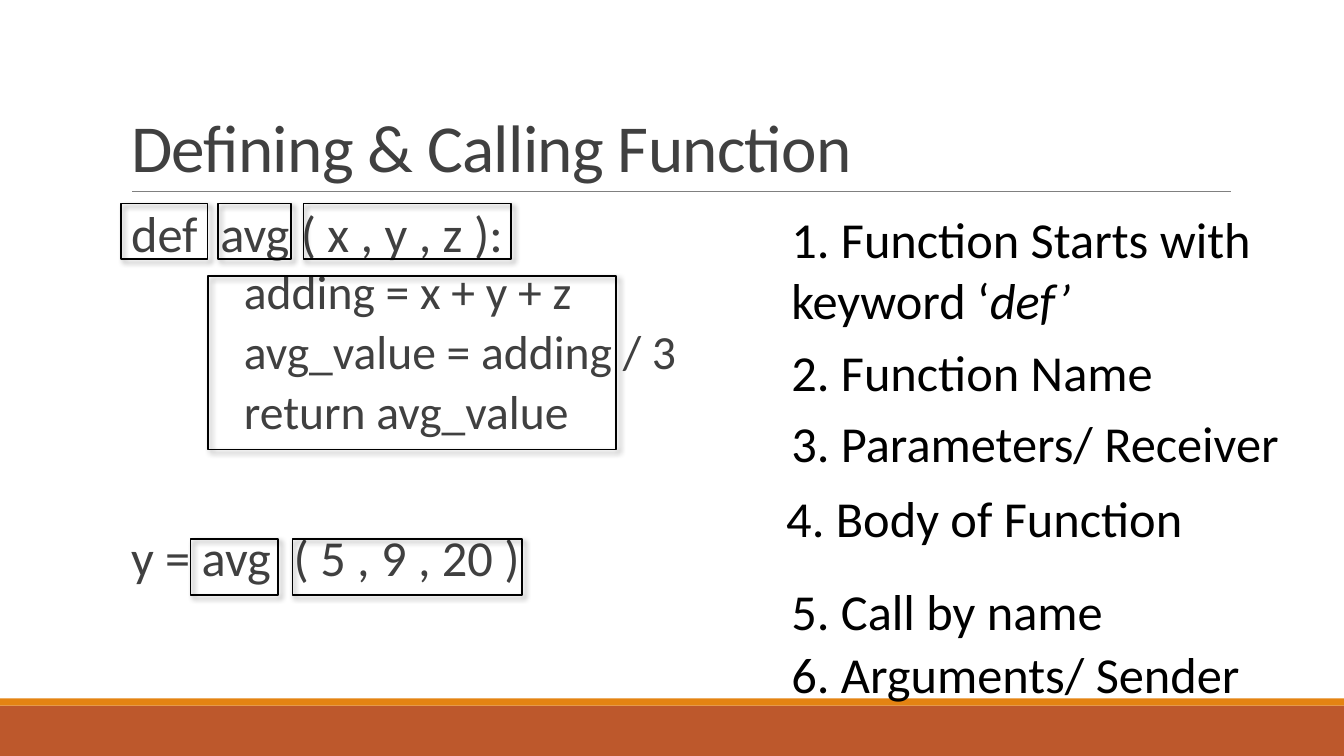
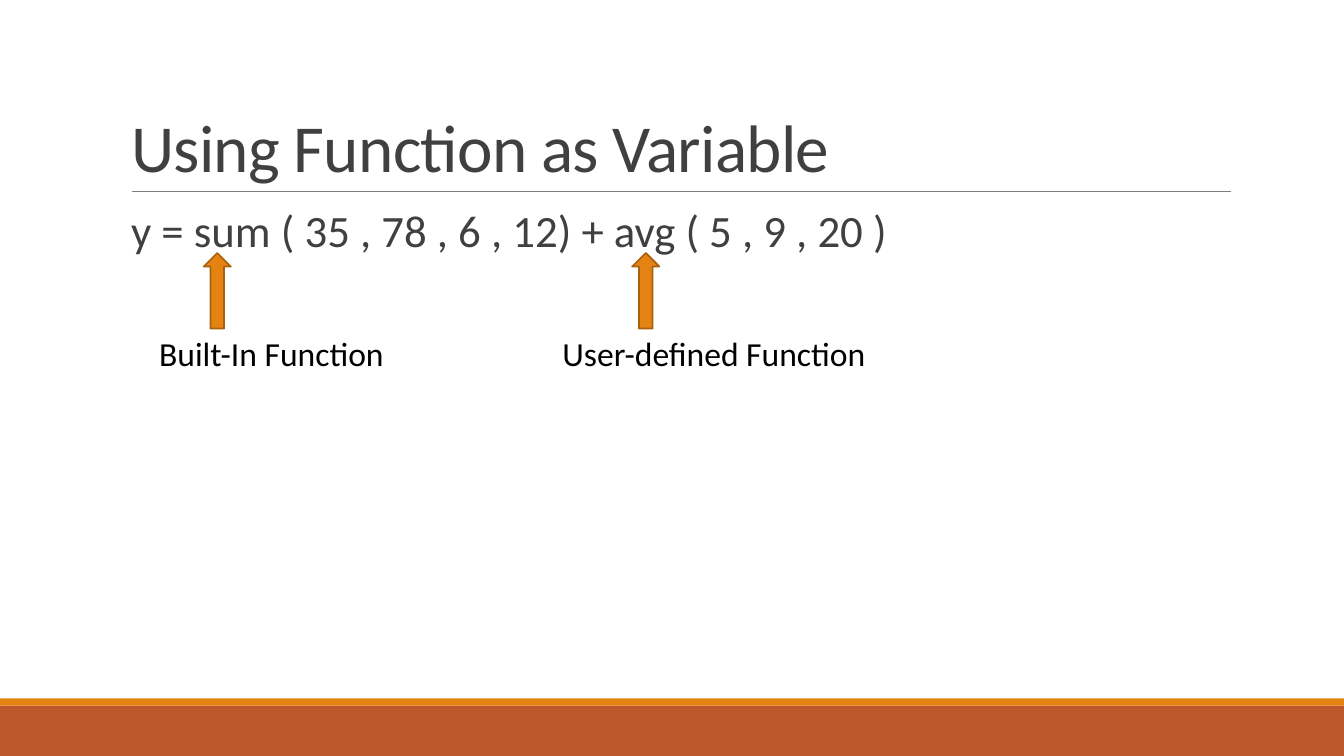
from dataclasses import dataclass

from lxml import etree
from pptx import Presentation
from pptx.dml.color import RGBColor
from pptx.enum.shapes import MSO_CONNECTOR, MSO_SHAPE
from pptx.enum.text import MSO_ANCHOR, MSO_AUTO_SIZE, PP_ALIGN
from pptx.oxml.ns import qn
from pptx.util import Inches, Pt

RECTANGLE = MSO_SHAPE.RECTANGLE
UP_ARROW = MSO_SHAPE.UP_ARROW
STRAIGHT = MSO_CONNECTOR.STRAIGHT
BOTTOM = MSO_ANCHOR.BOTTOM
TOP = MSO_ANCHOR.TOP
LEFT = PP_ALIGN.LEFT
NO_AUTOSIZE = MSO_AUTO_SIZE.NONE


@dataclass(frozen=True)
class Theme:
    font: str = "Calibri"
    heading: str = "404040"
    ink: str = "000000"
    accent: str = "E48312"
    accent_dark: str = "A9610D"
    band: str = "BD582C"
    rule: str = "808080"
    title_size: int = 48
    code_size: int = 36
    body_size: int = 34
    formula_size: int = 32
    label_size: int = 24
    outline: float = 1.25
    hairline: float = 0.5


THEME = Theme()
WIDTH, HEIGHT = 13.33, 7.5
MARGIN, CONTENT_TOP, CONTENT_WIDTH, CONTENT_HEIGHT = 1.2, 2.02, 11, 4.4
TITLE_TOP, RULE_TOP = 0.31, 1.9
RULE_LEFT, RULE_RIGHT = 1.31, 12.21
BAND_TOP, STRIPE_HEIGHT = 7, 0.07
TOKEN_HEIGHT = 0.55
CALL_TOP = 5.35
STEP_LEFT, STEP_WIDTH, STEP_HEIGHT = 7.75, 5.07, 0.71
ARROW_TOP, ARROW_WIDTH, ARROW_HEIGHT = 2.51, 0.27, 0.75
LABEL_HEIGHT = 0.5

OUTER_INDENT, INNER_INDENT = 0.1, 1.22
CODE_LINES = [
    ("def  avg ( x , y , z ):", THEME.code_size, OUTER_INDENT, 12, 2),
    ("adding = x + y + z", THEME.body_size, INNER_INDENT, 2, 4),
    ("avg_value = adding / 3", THEME.body_size, INNER_INDENT, 2, 4),
    ("return avg_value", THEME.body_size, INNER_INDENT, 2, 4),
    ("y = avg  ( 5 , 9 , 20 )", THEME.code_size, OUTER_INDENT, 63, 2),
]
FORMULA_LINES = [
    ("y = sum ( 35 , 78 , 6 , 12) + avg ( 5 , 9 , 20 )",
     THEME.formula_size, OUTER_INDENT, 12, 2),
]
TOKEN_ROWS = [
    (CONTENT_TOP, [(MARGIN, 0.86), (2.16, 0.73), (3.01, 2.06)]),
    (CALL_TOP, [(1.89, 0.87), (2.9, 2.28)]),
]
FUNCTION_BODY = (2.06, 2.74, 4.05, 1.72)
STEPS = [
    (0, 2.02, [("1. Function Starts with keyword ‘", False), ("def’", True)]),
    (0, 3.33, [("2. Function Name", False)]),
    (0, 4.04, [("3. Parameters/ Receiver", False)]),
    (-0.05, 4.78, [("4. Body of Function", False)]),
    (0, 5.71, [("5. Call by name", False)]),
    (0, 6.33, [("6. Arguments/ Sender", False)]),
]
FUNCTION_KINDS = [
    ("Built-In Function", 2.02, 1.48, 2.67),
    ("User-defined Function", 6.27, 5.48, 3.27),
]


def color(code):
    return RGBColor.from_string(code)


def box(*lengths):
    return [Inches(length) for length in lengths]


def add_run(paragraph, text, size, ink, italic=False):
    run = paragraph.add_run()
    run.text = text
    run.font.name = THEME.font
    run.font.size = Pt(size)
    run.font.color.rgb = color(ink)
    if italic:
        run.font.italic = True
    return run


def add_text_frame(slide, place):
    frame = slide.shapes.add_textbox(*box(*place)).text_frame
    frame.word_wrap = True
    frame.auto_size = NO_AUTOSIZE
    frame.vertical_anchor = TOP
    return frame


def add_shape(slide, kind, place, fill=None, line=None):
    shape = slide.shapes.add_shape(kind, *box(*place))
    shape.shadow.inherit = False
    if fill:
        shape.fill.solid()
        shape.fill.fore_color.rgb = color(fill)
    else:
        shape.fill.background()
    if line:
        shape.line.color.rgb = color(line)
        shape.line.width = Pt(THEME.outline)
    else:
        shape.line.fill.background()
    return shape


def add_frame(slide, place):
    shape = add_shape(slide, RECTANGLE, place, line=THEME.ink)
    effects = shape.element.spPr.find(qn("a:effectLst"))
    shadow = etree.SubElement(
        effects, qn("a:outerShdw"), blurRad=str(Pt(4)), dist=str(Pt(3)),
        dir=str(45 * 60000), algn="tl", rotWithShape="0")
    shade = etree.SubElement(shadow, qn("a:srgbClr"), val=THEME.ink)
    etree.SubElement(shade, qn("a:alpha"), val="40000")


def move_decoration_to_layout(slide, layout):
    band = add_shape(slide, RECTANGLE,
                     (0, BAND_TOP, WIDTH, HEIGHT - BAND_TOP), THEME.band)
    stripe = add_shape(slide, RECTANGLE,
                       (0, BAND_TOP - STRIPE_HEIGHT, WIDTH, STRIPE_HEIGHT),
                       THEME.accent)
    rule = slide.shapes.add_connector(
        STRAIGHT, *box(RULE_LEFT, RULE_TOP, RULE_RIGHT, RULE_TOP))
    rule.line.color.rgb = color(THEME.rule)
    rule.line.width = Pt(THEME.hairline)
    etree.SubElement(rule.element.spPr, qn("a:effectLst"))
    for number, shape in enumerate((band, stripe, rule), 101):
        shape.element.xpath(".//p:cNvPr")[0].set("id", str(number))
        layout.shapes.element.append(shape.element)


def set_title(slide, text):
    title = slide.shapes.title
    title.left, title.top, title.width, title.height = box(
        MARGIN, TITLE_TOP, CONTENT_WIDTH, RULE_TOP - TITLE_TOP)
    frame = title.text_frame
    frame.vertical_anchor = BOTTOM
    frame.word_wrap = True
    frame.auto_size = NO_AUTOSIZE
    paragraph = frame.paragraphs[0]
    paragraph.alignment = LEFT
    paragraph.line_spacing = 0.85
    run = add_run(paragraph, text, THEME.title_size, THEME.heading)
    run.font._element.set("spc", "-50")


def add_code(slide, lines):
    frame = add_text_frame(
        slide, (MARGIN, CONTENT_TOP, CONTENT_WIDTH, CONTENT_HEIGHT))
    frame.margin_left = frame.margin_right = 0
    for index, (text, size, indent, before, after) in enumerate(lines):
        paragraph = frame.add_paragraph() if index else frame.paragraphs[0]
        paragraph.line_spacing = 0.9
        paragraph.space_before = Pt(before)
        paragraph.space_after = Pt(after)
        properties = paragraph._p.get_or_add_pPr()
        properties.set("marL", str(Inches(indent)))
        properties.set("indent", "0")
        add_run(paragraph, text, size, THEME.heading)


def build_definition(slide):
    set_title(slide, "Defining & Calling Function")
    add_code(slide, CODE_LINES)
    for top, tokens in TOKEN_ROWS:
        for left, width in tokens:
            add_frame(slide, (left, top, width, TOKEN_HEIGHT))
    add_frame(slide, FUNCTION_BODY)
    for shift, top, parts in STEPS:
        height = STEP_HEIGHT if len(parts) == 1 else 1.31
        width = STEP_WIDTH if len(parts) == 1 else 4.96
        frame = add_text_frame(slide, (STEP_LEFT + shift, top, width, height))
        for text, italic in parts:
            add_run(frame.paragraphs[0], text, THEME.code_size, THEME.ink, italic)


def build_variable(slide):
    set_title(slide, "Using Function as Variable")
    add_code(slide, FORMULA_LINES)
    for text, arrow_left, label_left, label_width in FUNCTION_KINDS:
        frame = add_text_frame(
            slide, (label_left, ARROW_TOP + ARROW_HEIGHT - 0.01,
                    label_width, LABEL_HEIGHT))
        add_run(frame.paragraphs[0], text, THEME.label_size, THEME.ink)
        add_shape(slide, UP_ARROW,
                  (arrow_left, ARROW_TOP, ARROW_WIDTH, ARROW_HEIGHT),
                  THEME.accent, THEME.accent_dark)


presentation = Presentation()
presentation.slide_width, presentation.slide_height = box(WIDTH, HEIGHT)
title_only = presentation.slide_layouts[5]
definition = presentation.slides.add_slide(title_only)
move_decoration_to_layout(definition, title_only)
build_definition(definition)
build_variable(presentation.slides.add_slide(title_only))
presentation.save("out.pptx")
